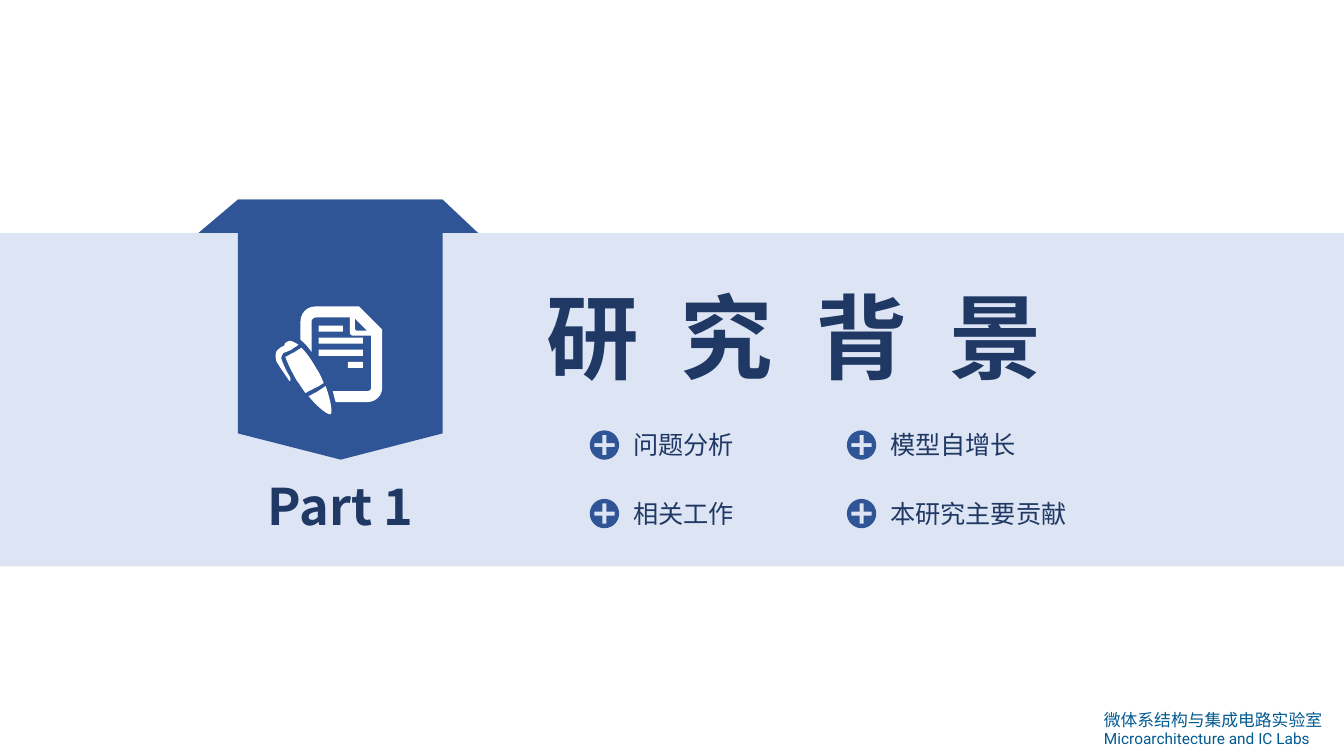
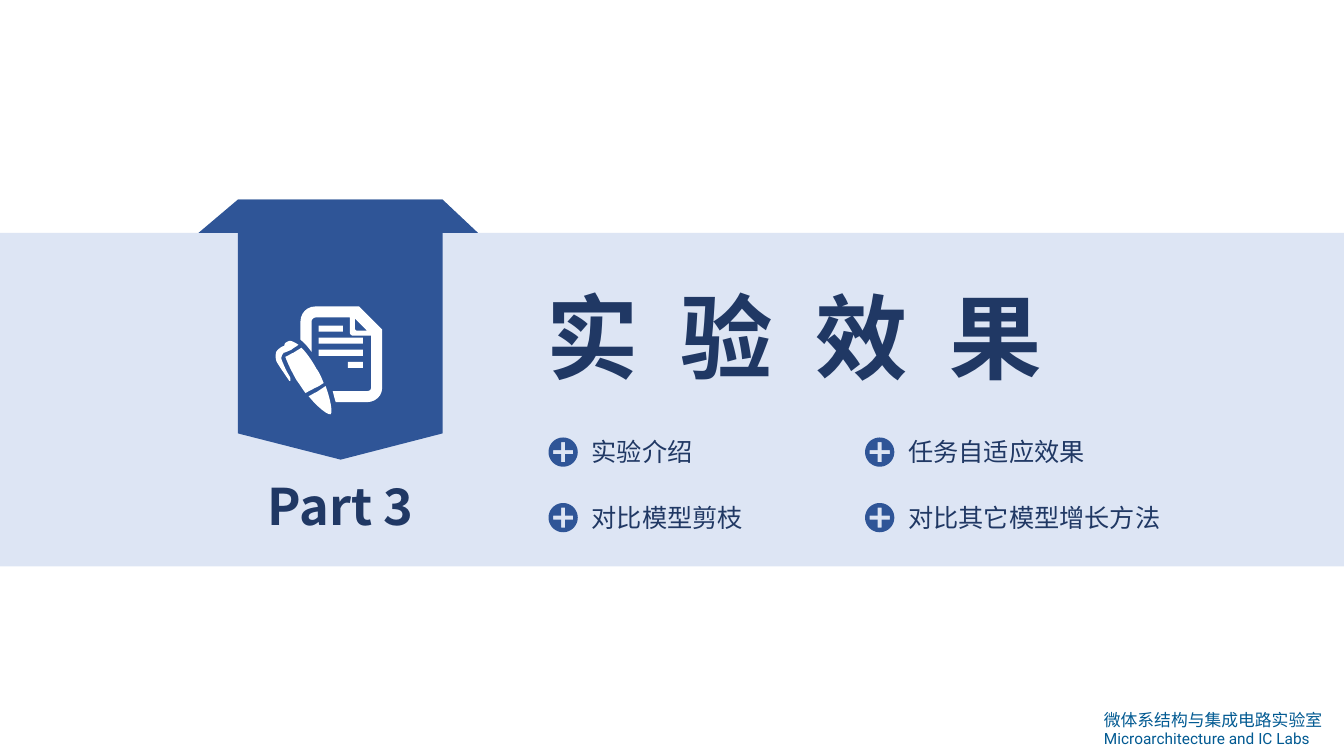
import math

import pptx
import pptx.dml.color
import pptx.enum.text
import pptx.oxml.ns
import pptx.util
from lxml import etree
from pptx.util import Inches

COLORS = {
    "band": "8FAADC",
    "ribbon": "2F5597",
    "ink": "203864",
    "lab": "025A92",
    "white": "FFFFFF",
}
CJK_FONT = "Noto Sans CJK SC"
ANCHOR = pptx.enum.text.MSO_ANCHOR
ALIGN = pptx.enum.text.PP_ALIGN
CURVE_STEPS = 6


def rectangle(left, top, right, bottom):
    """Return the corners of a rectangle."""
    return [(left, top), (right, top), (right, bottom), (left, bottom)]


def flatten(outline):
    """Turn an outline of points and six-number Bezier curves into points."""
    points = []
    for step in outline:
        if len(step) == 2:
            points.append(step)
            continue
        x0, y0 = points[-1]
        x1, y1, x2, y2, x3, y3 = step
        for i in range(1, CURVE_STEPS + 1):
            t = i / CURVE_STEPS
            a, b, c, d = (1 - t) ** 3, 3 * t * (1 - t) ** 2, 3 * t * t * (1 - t), t ** 3
            points.append((a * x0 + b * x1 + c * x2 + d * x3,
                           a * y0 + b * y1 + c * y2 + d * y3))
    return points


RIBBON_FOLD = [(4.39, 1.98), (4.74, 2.31), (1.97, 2.31), (2.36, 1.98)]
RIBBON_BODY = [(4.39, 1.98), (4.39, 4.3), (3.38, 4.56), (2.36, 4.3), (2.36, 1.98)]

PAGE_CORNER = [(3.64, 3.28), (3.54, 3.28), (3.53, 3.28, 3.52, 3.27, 3.52, 3.26),
               (3.52, 3.16)]
PAGE_LINES = [rectangle(left, top, right, top + 0.06) for left, top, right in
              [(3.16, 3.23, 3.4), (3.16, 3.35, 3.6), (3.16, 3.47, 3.6), (3.45, 3.59, 3.6)]]
PAGE_FRAME = [
    (3.56, 3.04), (3.13, 3.04), (3.04, 3.04, 2.98, 3.11, 2.98, 3.19), (2.98, 3.37),
    (3.03, 3.41, 3.05, 3.44, 3.09, 3.49), (3.09, 3.19),
    (3.09, 3.17, 3.11, 3.15, 3.13, 3.15), (3.47, 3.15), (3.47, 3.3),
    (3.47, 3.31, 3.48, 3.33, 3.5, 3.33), (3.68, 3.33), (3.68, 3.85),
    (3.68, 3.87, 3.66, 3.88, 3.64, 3.88), (3.3, 3.88),
    (3.31, 3.92, 3.32, 3.96, 3.33, 3.99), (3.64, 3.99),
    (3.72, 3.99, 3.79, 3.93, 3.79, 3.85), (3.79, 3.27),
]
PEN_TIP = [
    (3.06, 3.93), (3.15, 4.04, 3.25, 4.12, 3.28, 4.11),
    (3.3, 4.09, 3.28, 3.97, 3.23, 3.83), (3.2, 3.85, 3.17, 3.87, 3.14, 3.89),
    (3.11, 3.9, 3.09, 3.92, 3.06, 3.93),
]
PEN_BARREL = [
    (2.83, 3.54), (2.85, 3.6, 2.89, 3.68, 2.94, 3.77),
    (2.97, 3.81, 3, 3.86, 3.03, 3.9), (3.06, 3.88, 3.09, 3.87, 3.12, 3.85),
    (3.15, 3.84, 3.18, 3.82, 3.21, 3.8), (3.19, 3.75, 3.17, 3.7, 3.14, 3.66),
    (3.09, 3.57, 3.04, 3.5, 2.99, 3.45), (2.96, 3.47, 2.94, 3.48, 2.91, 3.5),
    (2.88, 3.51, 2.86, 3.53, 2.83, 3.54),
]
PEN_CAP = [
    (2.85, 3.39), (2.83, 3.4, 2.82, 3.41, 2.82, 3.43),
    (2.79, 3.44, 2.76, 3.46, 2.74, 3.49), (2.73, 3.52, 2.73, 3.57, 2.75, 3.6),
    (2.78, 3.65, 2.83, 3.72, 2.87, 3.78), (2.89, 3.79, 2.88, 3.74, 2.87, 3.73),
    (2.84, 3.68, 2.82, 3.64, 2.79, 3.56), (2.79, 3.52, 2.81, 3.51, 2.82, 3.49),
    (2.82, 3.5), (2.84, 3.49, 2.87, 3.48, 2.89, 3.47),
    (2.91, 3.45, 2.94, 3.44, 2.96, 3.42), (2.91, 3.39, 2.88, 3.37, 2.85, 3.39),
]
NOTE_AND_PEN = [PAGE_CORNER, *PAGE_LINES, PEN_TIP, PEN_BARREL, PEN_CAP, PAGE_FRAME]


class SectionDeck:
    """Holds the section style and the slide being built."""

    def __init__(self):
        self.presentation = pptx.Presentation()
        self.presentation.slide_width = Inches(13.33)
        self.presentation.slide_height = Inches(7.5)
        self.slide = None

    def start_slide(self):
        self.slide = self.presentation.slides.add_slide(self.presentation.slide_layouts[5])

    def paint(self, shape, color):
        shape.shadow.inherit = False
        shape.fill.solid()
        shape.fill.fore_color.rgb = pptx.dml.color.RGBColor.from_string(COLORS[color])
        shape.line.fill.background()

    def band(self):
        band = self.slide.shapes.add_shape(
            pptx.enum.shapes.MSO_SHAPE.RECTANGLE, 0, Inches(2.31),
            self.presentation.slide_width, Inches(3.31))
        self.paint(band, "band")
        tint = band.element.find(".//" + pptx.oxml.ns.qn("a:srgbClr"))
        etree.SubElement(tint, pptx.oxml.ns.qn("a:alpha"), val="30000")

    def outline(self, contours, color):
        builder = None
        for contour in contours:
            start, *rest = [(Inches(x), Inches(y)) for x, y in flatten(contour)]
            if builder is None:
                builder = self.slide.shapes.build_freeform(*start)
            else:
                builder.move_to(*start)
            builder.add_line_segments(rest, close=True)
        self.paint(builder.convert_to_shape(), color)

    def plus_badge(self, left, top):
        radius, arm, half = 0.145, 0.1, 0.02
        x, y = left + radius, top + radius
        angles = [math.tau * i / 48 for i in range(48)]
        disc = [(x + radius * math.cos(a), y + radius * math.sin(a)) for a in angles]
        plus = [(-half, arm), (half, arm), (half, half), (arm, half),
                (arm, -half), (half, -half), (half, -arm), (-half, -arm),
                (-half, -half), (-arm, -half), (-arm, half), (-half, half)]
        self.outline([disc, [(x + dx, y + dy) for dx, dy in plus]], "ribbon")

    def style(self, paragraph, size, color="ink", font=CJK_FONT, bold=False, spacing=0):
        for run in paragraph.runs:
            run.font.size = pptx.util.Pt(size)
            run.font.name = font
            run.font.bold = bold
            run.font.color.rgb = pptx.dml.color.RGBColor.from_string(COLORS[color])
            properties = run.font._element
            east_asian = etree.SubElement(properties, pptx.oxml.ns.qn("a:ea"))
            east_asian.set("typeface", font)
            properties.find(pptx.oxml.ns.qn("a:latin")).addnext(east_asian)
            if spacing:
                properties.set("spc", str(spacing))

    def frame(self, shape, text):
        frame = shape.text_frame
        frame.text = text
        frame.word_wrap = True
        frame.auto_size = pptx.enum.text.MSO_AUTO_SIZE.NONE
        frame.vertical_anchor = ANCHOR.MIDDLE
        return frame.paragraphs

    def text(self, box, content):
        return self.frame(self.slide.shapes.add_textbox(*map(Inches, box)), content)

    def title(self, content):
        title = self.slide.shapes.title
        title.left, title.top, title.width, title.height = map(
            Inches, (5.32, 2.72, 6.22, 1.21))
        title.element.getparent().append(title.element)
        heading = self.frame(title, content)[0]
        heading.alignment = ALIGN.LEFT
        self.style(heading, 66, bold=True, spacing=760)

    def part_label(self, content):
        label = self.text((2.23, 4.66, 2.3, 0.71), content)[0]
        label.alignment = ALIGN.CENTER
        self.style(label, 36, bold=True)

    def topics(self, topics, left, top, column_step, row_step):
        for i, topic in enumerate(topics):
            row, column = divmod(i, 2)
            x, y = left + column * column_step, top + row * row_step
            self.plus_badge(x, y)
            label = self.text((x + 0.33, y - 0.06, column_step - 0.4, 0.4), topic)[0]
            self.style(label, 18)

    def lab_footer(self):
        chinese, english = self.text(
            (10.85, 7.03, 2.49, 0.4),
            "微体系结构与集成电路实验室\nMicroarchitecture and IC Labs")
        self.style(chinese, 12, "lab")
        self.style(english, 11, "lab", "Roboto")

    def section(self, part, heading, topics, grid):
        self.start_slide()
        self.band()
        for piece in (RIBBON_FOLD, RIBBON_BODY):
            self.outline([piece], "ribbon")
        self.outline(NOTE_AND_PEN, "white")
        self.title(heading)
        self.part_label(part)
        self.topics(topics, *grid)
        self.lab_footer()


def main():
    """Build the section slides."""
    deck = SectionDeck()
    deck.section("Part 1", "研 究 背 景",
                 ["问题分析", "模型自增长", "相关工作", "本研究主要贡献"],
                 (5.85, 4.27, 2.55, 0.68))
    deck.section("Part 3", "实 验 效 果",
                 ["实验介绍", "任务自适应效果", "对比模型剪枝", "对比其它模型增长方法"],
                 (5.44, 4.34, 3.14, 0.65))
    deck.presentation.save("out.pptx")


if __name__ == "__main__":
    main()
